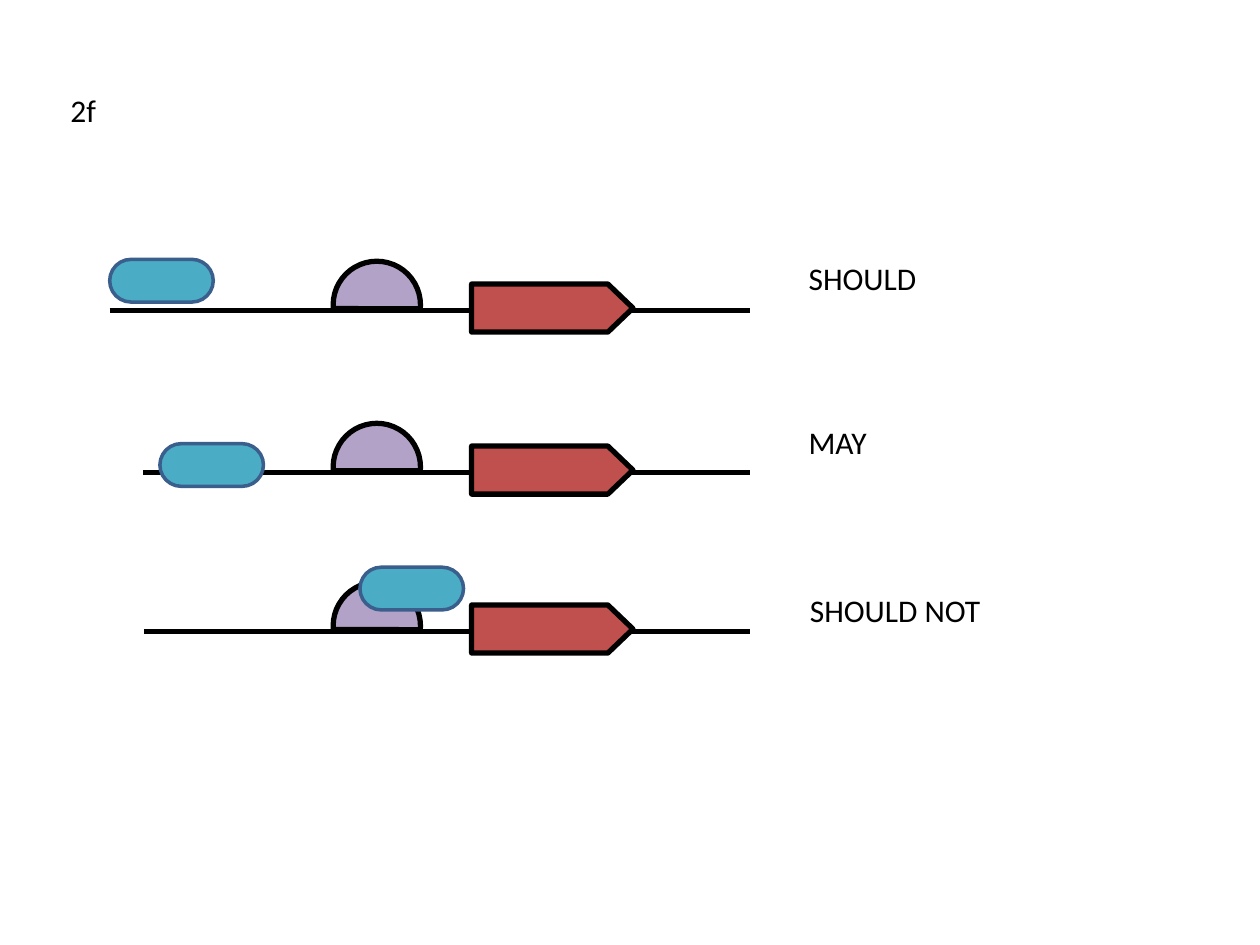
from pptx import Presentation
from pptx.dml.color import RGBColor
from pptx.enum.shapes import MSO_CONNECTOR, MSO_SHAPE
from pptx.enum.text import MSO_AUTO_SIZE
from pptx.oxml.ns import qn
from pptx.util import Pt
from lxml import etree

BLACK, RED, PURPLE = "000000", "C0504D", "B3A2C7"
TEAL, BLUE = "4BACC6", "3A5F8C"
STRAND_END = 428.4

# label, label left and top, strand start and height, protein left and top
ROWS = [
    ("SHOULD", 455, 144.7, 62.7, 177.3, 62.7, 148.2),
    ("MAY", 455, 238.4, 81.7, 269.9, 91.4, 253.5),
    ("SHOULD NOT", 455.7, 333.9, 82.2, 360.7, 205.7, 324.1),
]


def color(hex_code):
    return RGBColor.from_string(hex_code)


def add_label(page, text, left, top, width):
    box = page.shapes.add_textbox(Pt(left), Pt(top), Pt(width), Pt(29))
    frame = box.text_frame
    frame.word_wrap = False
    frame.auto_size = MSO_AUTO_SIZE.SHAPE_TO_FIT_TEXT
    para = frame.paragraphs[0]
    para.text = text
    para.font.name = "Calibri"
    para.font.size = Pt(18)
    para.font.color.rgb = color(BLACK)


def add_strand(group, left, y):
    strand = group.shapes.add_connector(
        MSO_CONNECTOR.STRAIGHT, Pt(left), Pt(y), Pt(STRAND_END), Pt(y))
    strand.line.color.rgb = color(BLACK)
    strand.line.width = Pt(3)
    properties = strand._element.find(qn("p:spPr"))
    etree.SubElement(properties, qn("a:effectLst"))


def add_part(group, kind, bounds, adjustments, fill, line=BLACK, weight=3):
    part = group.shapes.add_shape(kind, *map(Pt, bounds))
    for index, value in enumerate(adjustments):
        part.adjustments[index] = value
    part.shadow.inherit = False
    part.fill.solid()
    part.fill.fore_color.rgb = color(fill)
    part.line.color.rgb = color(line)
    part.line.width = Pt(weight)


def add_gene(page, strand_left, y, protein_left, protein_top):
    group = page.shapes.add_group_shape()
    add_strand(group, strand_left, y)
    # Coding arrow
    add_part(group, MSO_SHAPE.RIGHT_ARROW, (269.5, y - 15, 92.2, 27.5),
             (1, 0.522), RED)
    # Half-round binding site
    add_part(group, MSO_SHAPE.CHORD, (190.4, y - 28, 49.9, 49.9),
             (105.062, 3.015), PURPLE)
    # Protein capsule
    add_part(group, MSO_SHAPE.ROUNDED_RECTANGLE,
             (protein_left, protein_top, 59.2, 24.4), (0.5,),
             TEAL, BLUE, 2)


def main():
    deck = Presentation()
    deck.slide_width, deck.slide_height = Pt(720), Pt(540)
    page = deck.slides.add_slide(deck.slide_layouts[6])

    # Panel name
    add_label(page, "2f", 33.1, 48.2, 29.5)

    # One gene diagram and its label per row
    label_widths = (77, 48.2, 113)
    for row, width in zip(ROWS, label_widths):
        text, left, top, *gene = row
        add_gene(page, *gene)
        add_label(page, text, left, top, width)

    deck.save("out.pptx")


if __name__ == "__main__":
    main()
